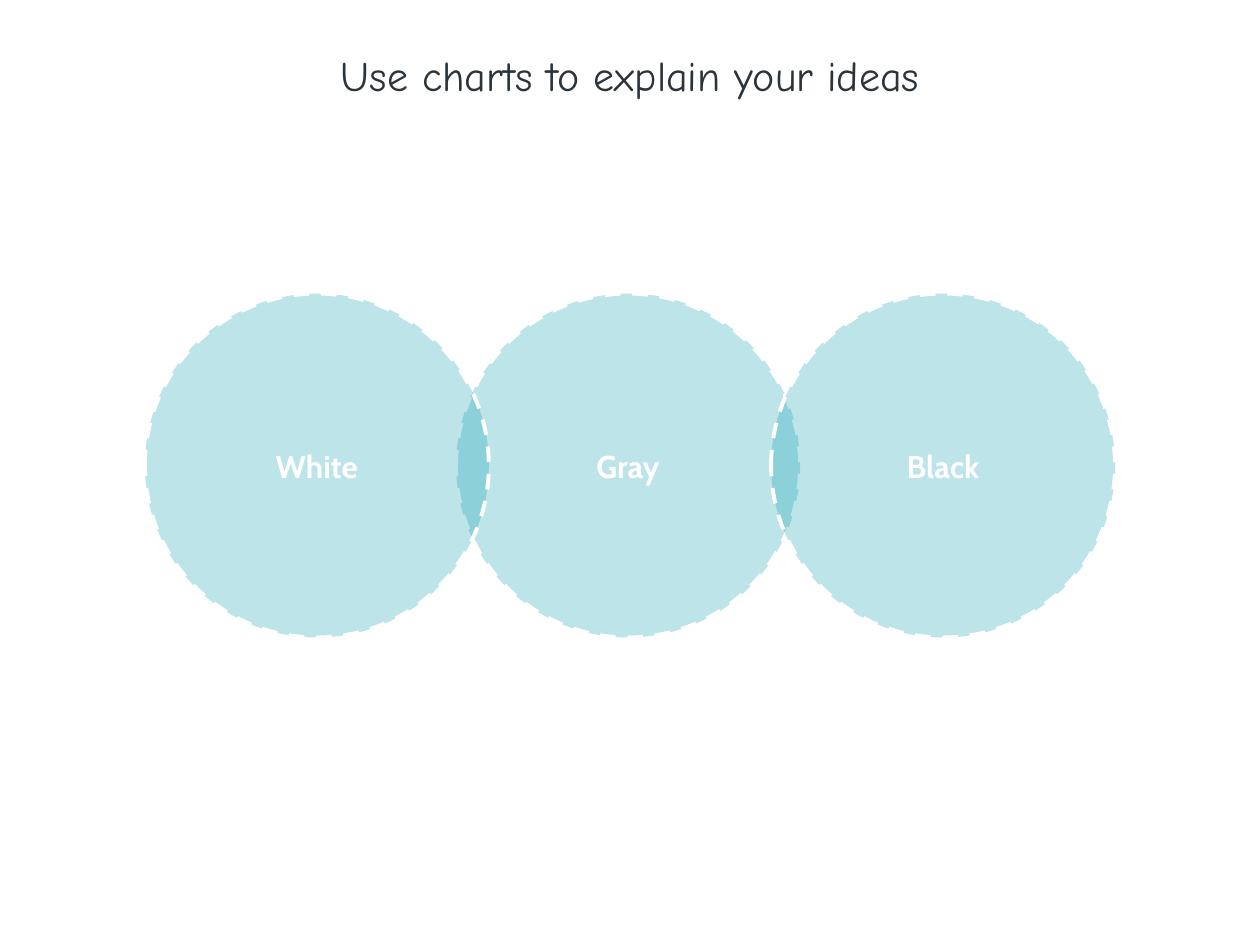
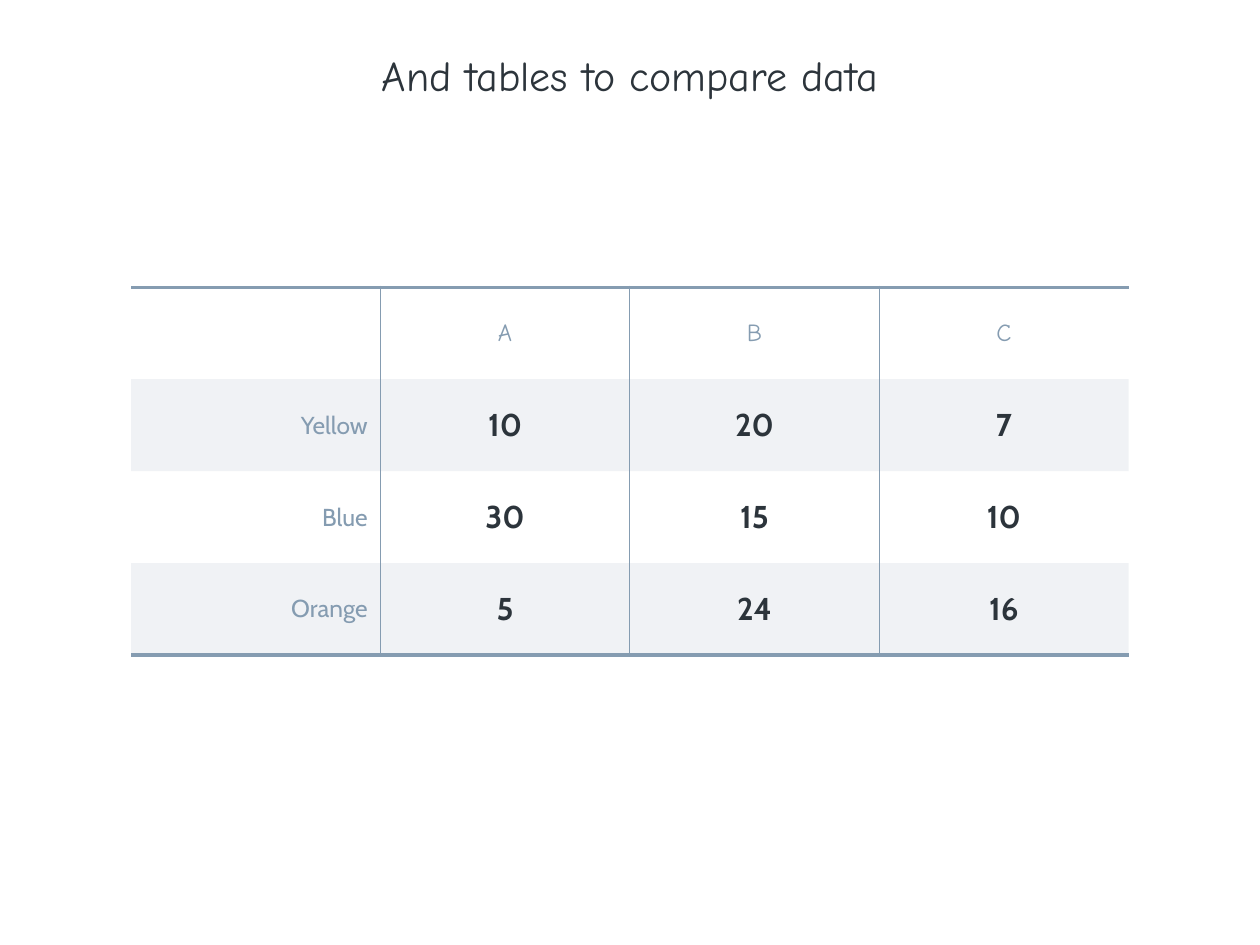
from lxml import etree
from pptx import Presentation
from pptx.dml.color import RGBColor
from pptx.enum import dml, shapes, text
from pptx.oxml import ns
from pptx.util import Pt

CHART_TITLE = "Use charts to explain your ideas"
CIRCLES = [("Gray", 260.64), ("White", 82.8), ("Black", 440.64)]
TABLE_TITLE = "And tables to compare data"
ROWS = [
    ("", "A", "B", "C"),
    ("Yellow", "10", "20", "7"),
    ("Blue", "30", "15", "10"),
    ("Orange", "5", "24", "16"),
]

INK, SLATE, TEAL, WHITE = "2C343B", "859CB1", "0198AD", "FFFFFF"
HEADING_FONT, BODY_FONT = "Comic Neue", "Cabin"
CENTER, RIGHT = text.PP_ALIGN.CENTER, text.PP_ALIGN.RIGHT
INSET = Pt(7.2)
CIRCLE_TOP, CIRCLE_SIZE = 167.76, 196.56
TABLE_LEFT, TABLE_TOP, COLUMN_WIDTH, ROW_HEIGHT = 74.88, 164.16, 142.5, 52.56
THIN, THICK = 0.75, 2.25


def rgb(color):
    return RGBColor.from_string(color)


def fill_with(fill, color, opacity):
    fill.solid()
    fill.fore_color.rgb = rgb(color)
    solid = fill.fore_color._xFill
    etree.SubElement(solid[0], ns.qn("a:alpha"), val=str(opacity * 1000))


def write(frame, words, size, font, color, bold=False, align=CENTER):
    frame.text = words
    paragraph = frame.paragraphs[0]
    paragraph.alignment = align
    for run in paragraph.runs:
        run.font.size = Pt(size)
        run.font.name = font
        run.font.bold = bold
        run.font.color.rgb = rgb(color)


def pad(holder):
    holder.margin_left = holder.margin_right = INSET
    holder.margin_top = holder.margin_bottom = INSET
    holder.vertical_anchor = text.MSO_ANCHOR.MIDDLE


def add_slide(deck, title):
    slide = deck.slides.add_slide(deck.slide_layouts[6])
    slide.background.fill.solid()
    slide.background.fill.fore_color.rgb = rgb(WHITE)
    heading = slide.shapes.add_textbox(Pt(36), Pt(-2.16), Pt(648), Pt(90)).text_frame
    heading.word_wrap = True
    pad(heading)
    write(heading, title, 24, HEADING_FONT, INK)
    return slide


def add_circle(slide, label, left):
    circle = slide.shapes.add_shape(
        shapes.MSO_SHAPE.OVAL, Pt(left), Pt(CIRCLE_TOP), Pt(CIRCLE_SIZE), Pt(CIRCLE_SIZE))
    circle.shadow.inherit = False
    fill_with(circle.fill, TEAL, 26)
    circle.line.color.rgb = rgb(WHITE)
    circle.line.width = Pt(THICK)
    circle.line.dash_style = dml.MSO_LINE.DASH
    pad(circle.text_frame)
    write(circle.text_frame, label, 18, BODY_FONT, WHITE, bold=True)


def set_borders(cell, widths):
    properties = cell._tc.get_or_add_tcPr()
    for place, (side, width) in enumerate(widths.items()):
        border = etree.Element(ns.qn(f"a:ln{side}"), w=str(Pt(width)))
        if width:
            solid = etree.SubElement(border, ns.qn("a:solidFill"))
            etree.SubElement(solid, ns.qn("a:srgbClr"), val=SLATE)
        else:
            etree.SubElement(border, ns.qn("a:noFill"))
        properties.insert(place, border)


def add_comparison(slide):
    last_row, last_column = len(ROWS) - 1, len(ROWS[0]) - 1
    grid = slide.shapes.add_table(
        len(ROWS), len(ROWS[0]), Pt(TABLE_LEFT), Pt(TABLE_TOP),
        Pt(COLUMN_WIDTH * len(ROWS[0])), Pt(ROW_HEIGHT * len(ROWS))).table
    grid.first_row = grid.horz_banding = False
    for column in grid.columns:
        column.width = Pt(COLUMN_WIDTH)
    for r, values in enumerate(ROWS):
        grid.rows[r].height = Pt(ROW_HEIGHT)
        for c, value in enumerate(values):
            cell = grid.cell(r, c)
            pad(cell)
            if r == 0:
                write(cell.text_frame, value, 14, HEADING_FONT, SLATE)
            elif c == 0:
                write(cell.text_frame, value, 14, BODY_FONT, SLATE, align=RIGHT)
            else:
                write(cell.text_frame, value, 18, BODY_FONT, INK, bold=True)
            if r % 2:
                fill_with(cell.fill, SLATE, 12)
            else:
                cell.fill.background()
            set_borders(cell, {
                "L": THIN if c > 0 else 0,
                "R": THIN if c < last_column else 0,
                "T": THICK if r == 0 else 0,
                "B": THICK if r == last_row else 0,
            })


def main():
    deck = Presentation()
    deck.slide_width, deck.slide_height = Pt(720), Pt(540)
    chart_slide = add_slide(deck, CHART_TITLE)
    for label, left in CIRCLES:
        add_circle(chart_slide, label, left)
    add_comparison(add_slide(deck, TABLE_TITLE))
    deck.save("out.pptx")


if __name__ == "__main__":
    main()
